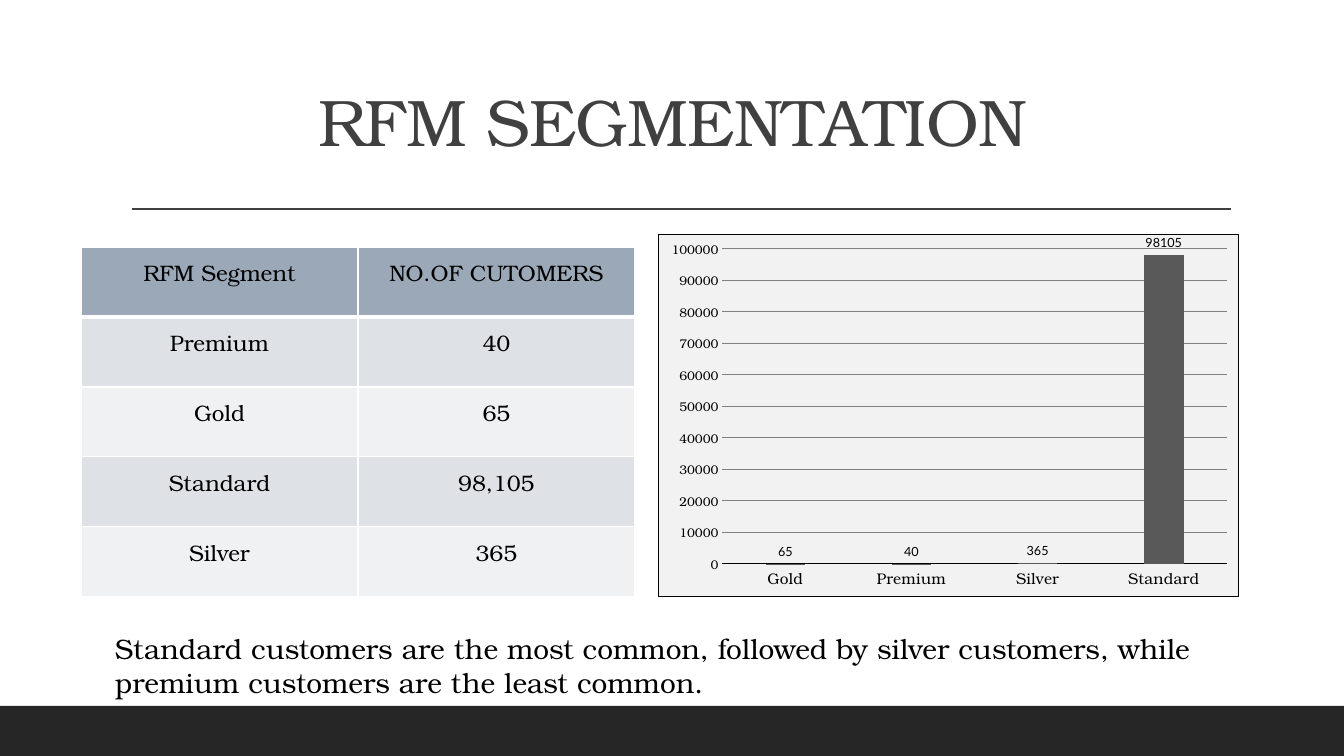
from lxml import etree
from pptx import Presentation
from pptx.chart.data import CategoryChartData
from pptx.dml.color import RGBColor
from pptx.enum.chart import XL_CHART_TYPE as CT, XL_LABEL_POSITION as LP, XL_TICK_MARK as TM
from pptx.enum.shapes import MSO_CONNECTOR, MSO_SHAPE
from pptx.enum.text import MSO_ANCHOR, PP_ALIGN
from pptx.oxml import parse_xml
from pptx.oxml.ns import nsdecls, qn
from pptx.util import Pt

C = {"ink": "000000", "title": "404040", "footer": "262626", "white": "FFFFFF",
     "head": "9BA8B7", "band": "DEE1E6", "plain": "EFF1F3",
     "panel": "F2F2F2", "grid": "808080", "bar": "595959"}
SERIF, SANS = "TeX Gyre Bonum", "Lato"


def px(n):
    return round(n * 914400 / 100.8)


def style(font, size, color="ink", name=SERIF):
    font.size, font.name, font.bold = Pt(size), name, False
    font.color.rgb = RGBColor.from_string(C[color])


prs = Presentation()
prs.slide_width, prs.slide_height = px(1344), px(756)
s = prs.slides.add_slide(prs.slide_layouts[6])

# Footer band and rule under the title
footer = s.shapes.add_shape(MSO_SHAPE.RECTANGLE, px(0), px(706), px(1344), px(50))
footer.shadow.inherit = False
footer.fill.solid()
footer.fill.fore_color.rgb = RGBColor.from_string(C["footer"])
footer.line.fill.background()

rule = s.shapes.add_connector(MSO_CONNECTOR.STRAIGHT, px(132), px(209), px(1231), px(209))
rule.line.width = Pt(1)
rule.line.color.rgb = RGBColor.from_string(C["title"])
etree.SubElement(rule._element.spPr, qn("a:effectLst"))

# Title
tf = s.shapes.add_textbox(px(118), px(66), px(1109), px(100)).text_frame
tf.word_wrap = True
tf.vertical_anchor = MSO_ANCHOR.BOTTOM
tf.text = "RFM SEGMENTATION"
p = tf.paragraphs[0]
p.alignment, p.line_spacing = PP_ALIGN.CENTER, 0.9
r = p.runs[0]
style(r.font, 47, "title")
r._r.get_or_add_rPr().set("spc", "-50")

# Column chart
data = CategoryChartData()
data.categories = ["Gold", "Premium", "Silver", "Standard"]
data.add_series("Series 1", (65, 40, 365, 98105))
chart = s.shapes.add_chart(CT.COLUMN_CLUSTERED, px(658), px(234), px(581), px(363), data).chart
chart.has_legend = chart.has_title = False
style(chart.font, 10, name=SANS)

plot = chart.plots[0]
plot.gap_width, plot.overlap, plot.vary_by_categories = 219, -27, False
bars = plot.series[0]
bars.format.fill.solid()
bars.format.fill.fore_color.rgb = RGBColor.from_string(C["bar"])
labels = bars.data_labels
labels.show_value, labels.position = True, LP.OUTSIDE_END
style(labels.font, 9, name=SANS)

for axis, size in ((chart.category_axis, 11), (chart.value_axis, 9)):
    axis.major_tick_mark = axis.minor_tick_mark = TM.NONE
    style(axis.tick_labels.font, size)
axis_line = chart.category_axis.format.line
axis_line.width = Pt(0.75)
axis_line.color.rgb = RGBColor.from_string(C["ink"])
values = chart.value_axis
values.minimum_scale, values.maximum_scale, values.major_unit = 0, 100000, 10000
values.format.line.fill.background()
values.major_gridlines.format.line.width = Pt(0.75)
values.major_gridlines.format.line.color.rgb = RGBColor.from_string(C["grid"])

# Chart panel, plot background and plot position
panel = (f'<c:spPr {nsdecls("c", "a")}><a:solidFill><a:srgbClr val="{C["panel"]}"/></a:solidFill>'
         '<a:ln w="9525">%s</a:ln></c:spPr>')
ink_fill = f'<a:solidFill><a:srgbClr val="{C["ink"]}"/></a:solidFill>'
space = chart._chartSpace
space.find(qn("c:chart")).addnext(parse_xml(panel % ink_fill))
area = space.find(".//" + qn("c:plotArea"))
area.append(parse_xml(panel % "<a:noFill/>"))
for old in area.findall(qn("c:layout")):
    area.remove(old)
area.insert(0, parse_xml(
    f'<c:layout {nsdecls("c")}><c:manualLayout><c:layoutTarget val="inner"/>'
    '<c:xMode val="edge"/><c:yMode val="edge"/><c:x val="0.11"/><c:y val="0.04"/>'
    '<c:w val="0.87"/><c:h val="0.87"/></c:manualLayout></c:layout>'))

# Segment table
rows = [("RFM Segment", "NO.OF CUTOMERS"), ("Premium", "40"), ("Gold", "65"),
        ("Standard", "98,105"), ("Silver", "365")]
table = s.shapes.add_table(len(rows), 2, px(81), px(247), px(554), px(350)).table
table.first_row = table.horz_banding = False
for i, row in enumerate(rows):
    fill = "head" if i == 0 else "band" if i % 2 else "plain"
    widths = {"L": 1, "R": 1, "T": 3 if i == 1 else 1, "B": 3 if i == 0 else 1}
    for j, text in enumerate(row):
        cell = table.cell(i, j)
        cell.text = text
        cell.vertical_anchor = MSO_ANCHOR.BOTTOM
        cell.margin_left = cell.margin_right = cell.margin_top = px(1)
        cell.margin_bottom = px(29)
        cell.fill.solid()
        cell.fill.fore_color.rgb = RGBColor.from_string(C[fill])
        p = cell.text_frame.paragraphs[0]
        p.alignment = PP_ALIGN.CENTER
        style(p.runs[0].font, 16)
        for k, (side, width) in enumerate(widths.items()):
            cell._tc.tcPr.insert(k, parse_xml(
                f'<a:ln{side} {nsdecls("a")} w="{Pt(width)}"><a:solidFill>'
                f'<a:srgbClr val="{C["white"]}"/></a:solidFill></a:ln{side}>'))

# Takeaway
tf = s.shapes.add_textbox(px(105), px(627), px(1134), px(78)).text_frame
tf.word_wrap = True
tf.text = ("Standard customers are the most common, followed by silver customers, "
           "while premium customers are the least common.")
style(tf.paragraphs[0].runs[0].font, 20)

prs.save("out.pptx")
